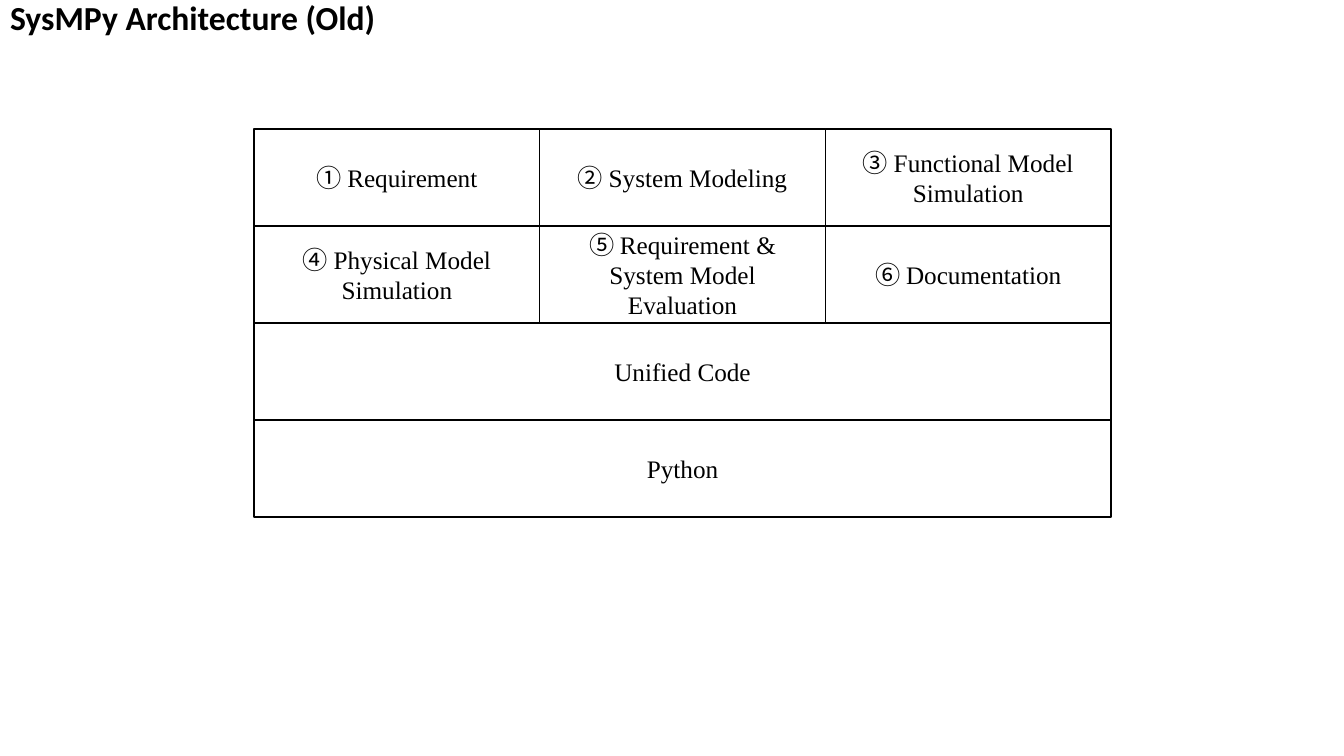
from lxml import etree
from pptx import Presentation
from pptx import util as u
from pptx.dml.color import RGBColor
from pptx.enum import shapes, text
from pptx.oxml import ns

BLACK = RGBColor(0, 0, 0)
WHITE = RGBColor(255, 255, 255)
SERIF = "Times New Roman"
SYMBOL = "Noto Sans CJK KR"
TITLE_FONT = {"name": "Calibri", "size": u.Pt(24), "bold": True}
LABEL_FONT = {"name": SERIF, "size": u.Pt(18)}
NUMBER_FONT = {"name": SYMBOL, "size": u.Pt(18)}

MODULES = [
    [["Requirement"], ["System Modeling"], ["Functional Model", "Simulation"]],
    [["Physical Model", "Simulation"],
     ["Requirement & System Model", "Evaluation"], ["Documentation"]],
]
LAYERS = ["Unified Code", "Python"]


def add_span(para, words, formats):
    """Append a black run with the given font values."""
    span = para.add_run()
    span.text = words
    for key, value in formats.items():
        setattr(span.font, key, value)
    span.font.color.rgb = BLACK
    return span


def add_title(page, words, left, top, width, height):
    """Place and format the title placeholder."""
    title = page.shapes.title
    title.left, title.top, title.width, title.height = map(
        u.Inches, (left, top, width, height))
    frame = title.text_frame
    frame.auto_size = text.MSO_AUTO_SIZE.NONE
    frame.vertical_anchor = text.MSO_ANCHOR.MIDDLE
    para = frame.paragraphs[0]
    para.alignment = text.PP_ALIGN.LEFT
    para.line_spacing = 0.9
    add_span(para, words, TITLE_FONT)


def add_block(page, lines, left, top, width, height, number=None):
    """Draw an outlined block with centred lines and an optional circled number."""
    box = page.shapes.add_shape(
        shapes.MSO_SHAPE.RECTANGLE, *map(u.Inches, (left, top, width, height)))
    box.shadow.inherit = False
    box.fill.solid()
    box.fill.fore_color.rgb = WHITE
    box.line.color.rgb = BLACK
    box.line.width = u.Pt(1)
    frame = box.text_frame
    frame.word_wrap = True
    frame.vertical_anchor = text.MSO_ANCHOR.MIDDLE
    for index, line in enumerate(lines):
        para = frame.add_paragraph() if index else frame.paragraphs[0]
        para.alignment = text.PP_ALIGN.CENTER
        if number and index == 0:
            circled = chr(ord("\u2460") + number - 1)
            span = add_span(para, circled + " ", NUMBER_FONT)
            east_asian = etree.SubElement(span.font._element, ns.qn("a:ea"))
            east_asian.set("typeface", SYMBOL)
        add_span(para, line, LABEL_FONT)


def add_architecture(page, left, top, width, height):
    """Stack the numbered module grid above the full-width layers."""
    row_height = height / (len(MODULES) + len(LAYERS))
    columns = len(MODULES[0])
    column_width = width / columns
    for row, modules in enumerate(MODULES):
        for column, lines in enumerate(modules):
            add_block(page, lines, left + column * column_width,
                      top + row * row_height, column_width, row_height,
                      number=row * columns + column + 1)
    for row, layer in enumerate(LAYERS, start=len(MODULES)):
        add_block(page, [layer], left, top + row * row_height, width, row_height)


def main():
    """Build and save the deck."""
    deck = Presentation()
    deck.slide_width, deck.slide_height = u.Inches(13.33), u.Inches(7.5)
    page = deck.slides.add_slide(deck.slide_layouts.get_by_name("Title Only"))
    add_title(page, "SysMPy Architecture (Old)", 0, 0, 11.5, 0.38)
    add_architecture(page, 2.52, 1.28, 8.5, 3.85)
    deck.save("out.pptx")


main()
